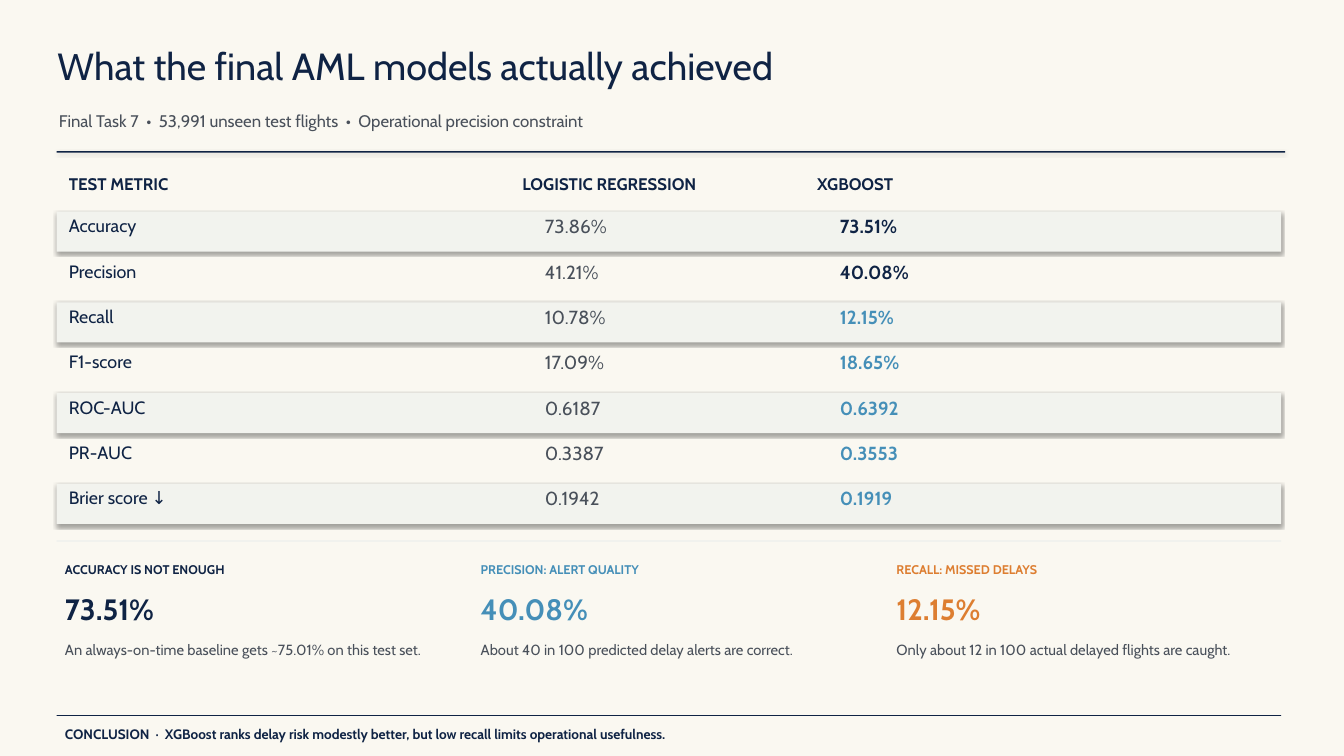
from dataclasses import dataclass

from pptx import Presentation
from pptx import util as u
from pptx.dml import color
from pptx.enum import shapes, text
from pptx.oxml import ns


@dataclass(frozen=True)
class Theme:
    """Colours, type sizes and font of the slide."""
    font: str = "Cabin"
    paper: str = "FAF8F1"
    navy: str = "0F2344"
    grey: str = "49505A"
    blue: str = "458FB8"
    orange: str = "DD7E31"
    band: str = "F2F3EE"
    divider: str = "E1E8EA"
    title: int = 36
    figure: int = 28
    value: int = 18
    metric: int = 17
    body: int = 16
    note: int = 14
    conclusion: int = 13
    label: int = 12
    plain_table: str = "{2D5ABB26-0587-4C30-8999-92F81FD0307C}"


class SlideBuilder:
    """Places styled elements on a grid of 17.78 columns by 10 rows."""

    COLUMNS, ROWS = 17.78, 10

    def __init__(self, presentation, theme):
        """Add a blank slide with the theme's background."""
        self.theme = theme
        self.column = presentation.slide_width / self.COLUMNS
        self.row = presentation.slide_height / self.ROWS
        self.slide = presentation.slides.add_slide(presentation.slide_layouts[6])
        self.paint(self.slide.background.fill, theme.paper)

    def across(self, columns):
        """Turn grid columns into a length."""
        return u.Emu(round(columns * self.column))

    def down(self, rows):
        """Turn grid rows into a length."""
        return u.Emu(round(rows * self.row))

    def area(self, left, top, width, height):
        """Turn a grid area into four lengths."""
        return self.across(left), self.down(top), self.across(width), self.down(height)

    def paint(self, fill, colour):
        """Make a fill solid in one colour."""
        fill.solid()
        fill.fore_color.rgb = color.RGBColor.from_string(colour)

    def add_words(self, frame, words, size, colour, bold=False):
        """Add one styled run to a text frame."""
        run = frame.paragraphs[0].add_run()
        run.text = words
        run.font.name = self.theme.font
        run.font.size = u.Pt(size)
        run.font.bold = bold
        run.font.color.rgb = color.RGBColor.from_string(colour)

    def text(self, area, words, size, colour, bold=False):
        """Add a wrapping text box."""
        frame = self.slide.shapes.add_textbox(*self.area(*area)).text_frame
        frame.word_wrap = True
        frame.auto_size = text.MSO_AUTO_SIZE.SHAPE_TO_FIT_TEXT
        frame.margin_left = frame.margin_right = self.across(0.01)
        frame.margin_top = frame.margin_bottom = 0
        self.add_words(frame, words, size, colour, bold)

    def bar(self, area, colour):
        """Add a borderless bar that keeps the theme's soft shadow."""
        shape = self.slide.shapes.add_shape(shapes.MSO_SHAPE.RECTANGLE, *self.area(*area))
        self.paint(shape.fill, colour)
        shape.line.fill.background()

    def cell(self, cell, words, size, colour, bold, indent, drop):
        """Fill one transparent table cell."""
        cell.fill.background()
        cell.margin_left, cell.margin_top = self.across(indent), self.down(drop)
        cell.margin_right = cell.margin_bottom = 0
        self.add_words(cell.text_frame, words, size, colour, bold)

    def table(self, left, top, widths, pitch, headings, rows):
        """Add the metric table over shadowed bands on alternate rows."""
        theme, count = self.theme, len(rows) + 1
        for index in range(1, count, 2):
            self.bar((left, top + index * pitch, sum(widths), 0.53), theme.band)
        frame = self.slide.shapes.add_table(
            count, len(widths), *self.area(left, top, sum(widths), count * pitch))
        table = frame.table
        table.first_row = table.horz_banding = False
        next(frame._element.iter(ns.qn("a:tableStyleId"))).text = theme.plain_table
        for column, width in zip(table.columns, widths):
            column.width = self.across(width)
        for row in table.rows:
            row.height = self.down(pitch)
        for index, (heading, indent) in enumerate(zip(headings, (0.16, 0.01, 0.01))):
            self.cell(table.cell(0, index), heading, theme.body, theme.navy, True, indent, 0.1)
        for index, (metric, logistic, boosted, accent) in enumerate(rows, 1):
            styles = (
                (metric, theme.metric, theme.navy, False, 0.16),
                (logistic, theme.value, theme.grey, False, 0.31),
                (boosted, theme.value, accent, True, 0.31),
            )
            for position, style in enumerate(styles):
                self.cell(table.cell(index, position), *style, 0.05)

    def takeaway(self, left, label, figure, note, colour):
        """Add a label, a large figure and its explanation."""
        theme, width = self.theme, 5.1
        self.text((left, 7.43, width, 0.29), label, theme.label, colour, True)
        self.text((left, 7.82, width, 0.57), figure, theme.figure, colour, True)
        self.text((left, 8.48, width, 0.75), note, theme.note, theme.grey)


def main():
    """Build and save the model results slide."""
    theme = Theme()
    presentation = Presentation()
    presentation.slide_width, presentation.slide_height = u.Inches(17.78), u.Inches(10)
    builder = SlideBuilder(presentation, theme)

    builder.text((0.75, 0.57, 16.2, 0.82), "What the final AML models actually achieved",
                 theme.title, theme.navy)
    builder.text((0.77, 1.46, 15, 0.38),
                 "Final Task 7  •  53,991 unseen test flights  •  Operational precision constraint",
                 theme.body, theme.grey)
    builder.bar((0.75, 2, 16.25, 0.02), theme.navy)

    builder.table(0.75, 2.2, (6.15, 3.9, 6.15), 0.6,
                  ("TEST METRIC", "LOGISTIC REGRESSION", "XGBOOST"), (
                      ("Accuracy", "73.86%", "73.51%", theme.navy),
                      ("Precision", "41.21%", "40.08%", theme.navy),
                      ("Recall", "10.78%", "12.15%", theme.blue),
                      ("F1-score", "17.09%", "18.65%", theme.blue),
                      ("ROC-AUC", "0.6187", "0.6392", theme.blue),
                      ("PR-AUC", "0.3387", "0.3553", theme.blue),
                      ("Brier score ↓", "0.1942", "0.1919", theme.blue),
                  ))

    builder.bar((0.75, 7.15, 16.2, 0.01), theme.divider)
    takeaways = (
        ("ACCURACY IS NOT ENOUGH", "73.51%",
         "An always-on-time baseline gets ~75.01% on this test set.", theme.navy),
        ("PRECISION: ALERT QUALITY", "40.08%",
         "About 40 in 100 predicted delay alerts are correct.", theme.blue),
        ("RECALL: MISSED DELAYS", "12.15%",
         "Only about 12 in 100 actual delayed flights are caught.", theme.orange),
    )
    for index, takeaway in enumerate(takeaways):
        builder.takeaway(0.85 + index * 5.5, *takeaway)

    builder.bar((0.75, 9.46, 16.2, 0.01), theme.navy)
    builder.text((0.85, 9.6, 16, 0.25),
                 "CONCLUSION  ·  XGBoost ranks delay risk modestly better, "
                 "but low recall limits operational usefulness.",
                 theme.conclusion, theme.navy, True)
    presentation.save("out.pptx")


if __name__ == "__main__":
    main()
